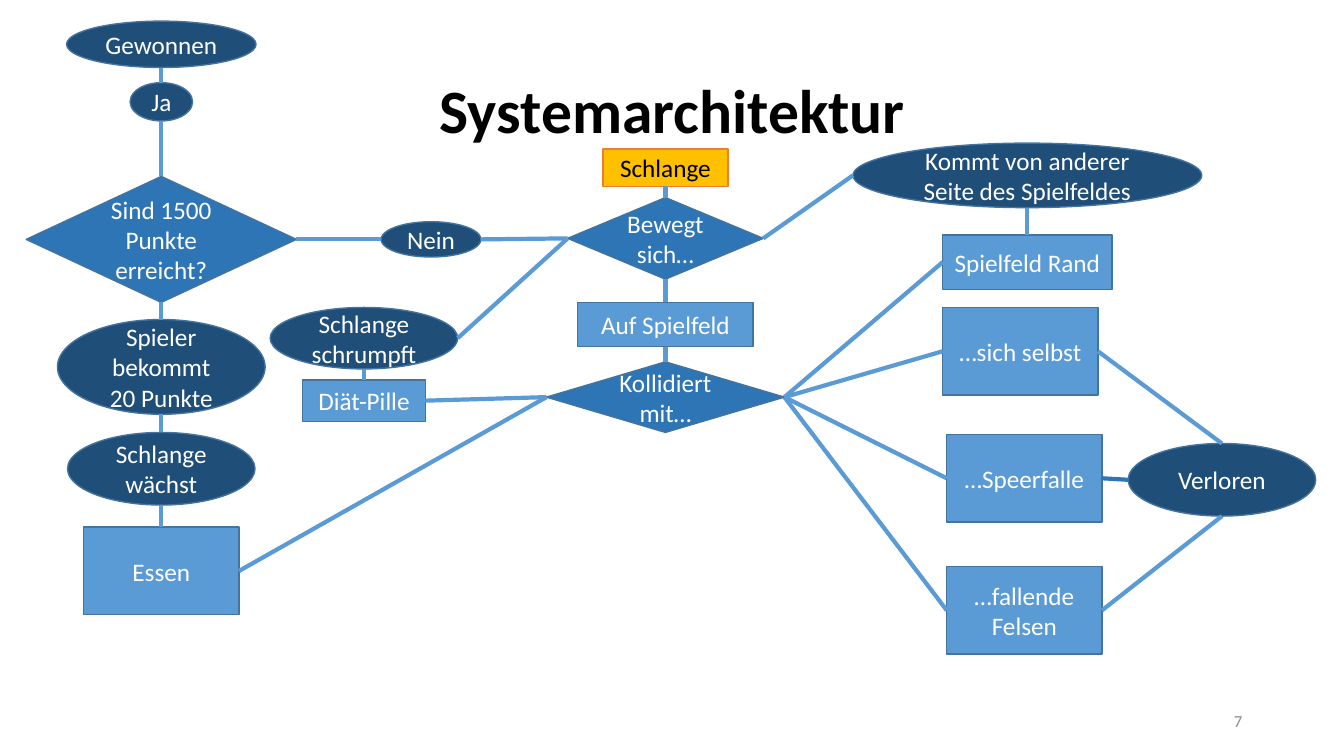
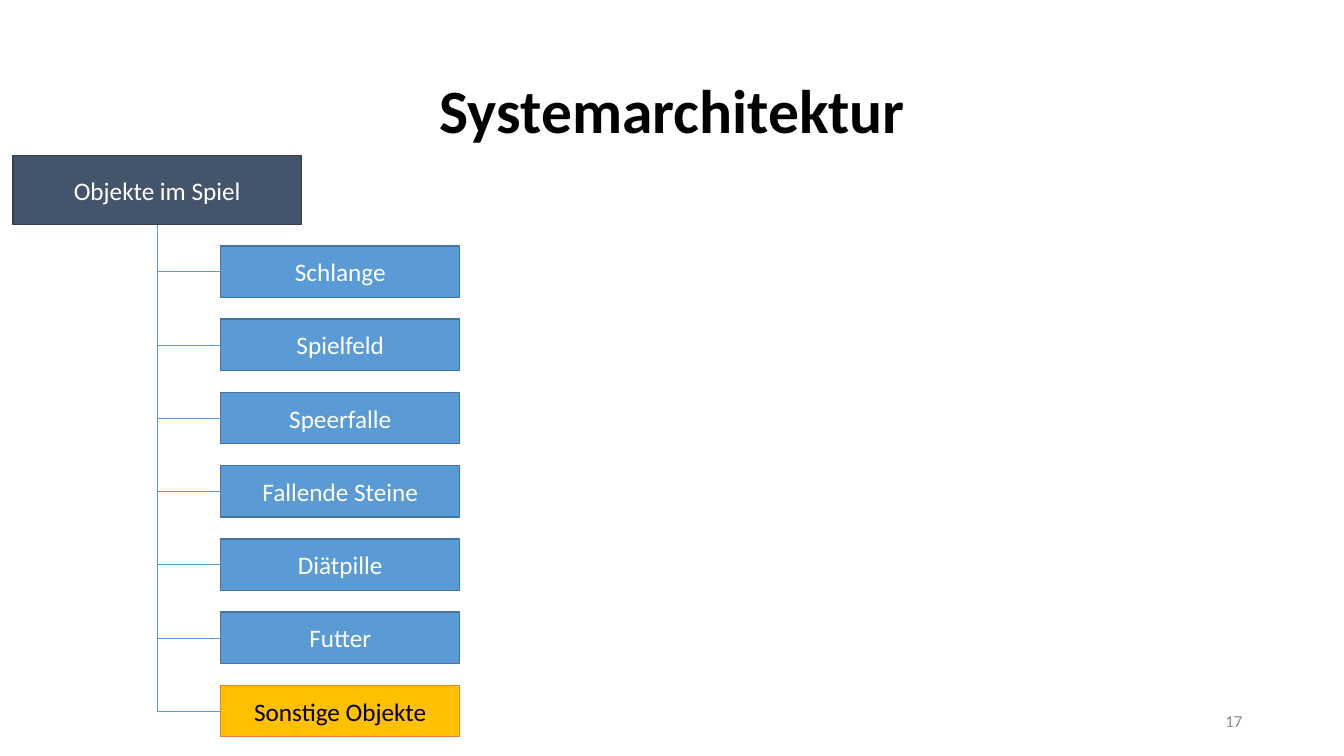
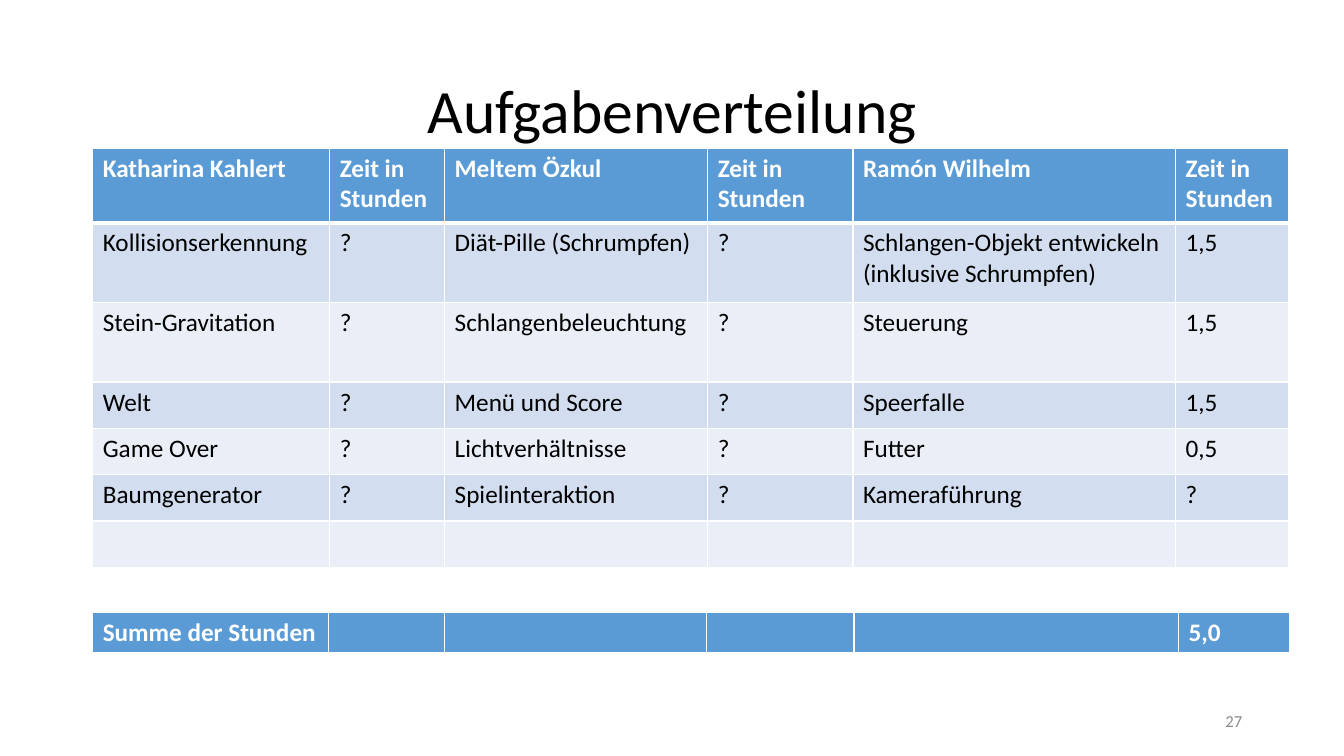
from dataclasses import dataclass

from lxml.etree import SubElement
from pptx import Presentation
from pptx.dml.color import RGBColor
from pptx.enum.shapes import MSO_CONNECTOR, MSO_SHAPE
from pptx.enum.text import MSO_ANCHOR, MSO_AUTO_SIZE, PP_ALIGN
from pptx.oxml import parse_xml
from pptx.oxml.ns import nsdecls, qn
from pptx.util import Pt

SCALE = 9144  # EMU in one px, 100 px to the inch
TOP, LEFT, BOTTOM, RIGHT = range(4)
SIDES = {TOP: (1, 0), LEFT: (0, 1), BOTTOM: (1, 2), RIGHT: (2, 1)}  # in half sizes


@dataclass(frozen=True)
class Theme:
    font: str = "Calibri"
    head: int = 44
    body: int = 18
    note: int = 12
    ink: str = "000000"
    white: str = "FFFFFF"
    grey: str = "8C8C8C"
    blue: str = "5B9BD5"
    mid: str = "2E75B6"
    navy: str = "1F4E79"
    edge: str = "43739E"
    gold: str = "FFC000"
    rust: str = "ED7D31"
    slate: str = "44546A"
    dark: str = "333F50"
    bands: tuple = ("D2DEEF", "EAEFF7")


T = Theme()
LOOKS = {  # preset, fill, line, text
    "step": (MSO_SHAPE.RECTANGLE, T.blue, T.edge, T.white),
    "event": (MSO_SHAPE.OVAL, T.navy, T.edge, T.white),
    "choice": (MSO_SHAPE.DIAMOND, T.mid, T.edge, T.white),
    "accent": (MSO_SHAPE.RECTANGLE, T.gold, T.rust, T.ink),
    "root": (MSO_SHAPE.RECTANGLE, T.slate, T.dark, T.white),
}


def px(*vals):
    return [round(v * SCALE) for v in vals]


def rgb(code):
    return RGBColor.from_string(code)


def put(obj, **vals):
    for name, val in vals.items():
        setattr(obj, name, val)


def paint(fill, code):
    fill.solid()
    fill.fore_color.rgb = rgb(code)


class Deck:
    def __init__(self):
        self.prs = Presentation()
        wide, high = px(1333, 750)
        put(self.prs, slide_width=wide, slide_height=high)

    def label(self, frame, text, size=T.body, ink=T.ink, bold=False,
              align=PP_ALIGN.CENTER, space=None):
        put(frame, text=text, word_wrap=True, auto_size=MSO_AUTO_SIZE.NONE,
            vertical_anchor=MSO_ANCHOR.MIDDLE)
        self.style(frame, size, ink, bold, align, space)

    def style(self, frame, size, ink, bold, align, space=None):
        for para in frame.paragraphs:
            put(para, alignment=align, line_spacing=space)
            for run in para.runs:
                put(run.font, name=T.font, size=Pt(size), bold=bold)
                run.font.color.rgb = rgb(ink)

    def page(self, title, number, bold=True):
        """Start a slide with its title and page number."""
        self.slide = self.prs.slides.add_slide(self.prs.slide_layouts[5])
        head = self.slide.shapes.title
        left, top, wide, high = px(92, 40, 1150, 145)
        put(head, left=left, top=top, width=wide, height=high)
        self.label(head.text_frame, title, T.head, bold=bold, space=0.9)
        foot = self.slide.shapes.add_textbox(*px(942, 695, 300, 40))
        self.label(foot.text_frame, str(number), T.note, T.grey, align=PP_ALIGN.RIGHT)

    def node(self, look, text, *box):
        kind, fill, edge, ink = LOOKS[look]
        shape = self.slide.shapes.add_shape(kind, *px(*box))
        shape.shadow.inherit = False
        paint(shape.fill, fill)
        shape.line.color.rgb = rgb(edge)
        shape.line.width = Pt(1)
        self.label(shape.text_frame, text, ink=ink)
        return shape

    def link(self, start, end, width=3, ink=T.blue):
        """Draw a line between two ends, each a (shape, side) or an (x, y) in px."""
        spots = []
        for a, b in (start, end):
            if isinstance(a, (int, float)):
                spots += px(a, b)
            else:
                dx, dy = SIDES[b]
                spots += [a.left + a.width * dx // 2, a.top + a.height * dy // 2]
        line = self.slide.shapes.add_connector(MSO_CONNECTOR.STRAIGHT, *spots)
        for join, (a, b) in ((line.begin_connect, start), (line.end_connect, end)):
            # An oval numbers its joints otherwise, save for the top one.
            if not isinstance(a, (int, float)) and (
                    b == TOP or a.auto_shape_type != MSO_SHAPE.OVAL):
                join(a, b)
        line.line.color.rgb = rgb(ink)
        line.line.width = Pt(width)
        SubElement(line._element.spPr, qn("a:effectLst"))

    def table(self, left, top, cols, highs, rows):
        """Draw a table whose first row is the header."""
        frame = self.slide.shapes.add_table(
            len(rows), len(cols), *px(left, top, sum(cols), sum(highs)))
        grid = frame.table
        put(grid, horz_banding=False)
        for col, wide in zip(grid.columns, px(*cols)):
            col.width = wide
        for r, (row, high) in enumerate(zip(rows, px(*highs))):
            grid.rows[r].height = high
            first = r == 0
            for c, text in enumerate(row):
                cell = grid.cell(r, c)
                cell.text = text
                paint(cell.fill, T.blue if first else T.bands[(r - 1) % 2])
                self.style(cell.text_frame, T.body, T.white if first else T.ink,
                           first, PP_ALIGN.LEFT)
                self.rule(cell, 3 if first else 1)

    def rule(self, cell, base):
        """Give a cell white borders, the bottom one as thick as base."""
        props = cell._tc.get_or_add_tcPr()
        for i, (side, wide) in enumerate((("L", 1), ("R", 1), ("T", 1), ("B", base))):
            props.insert(i, parse_xml(
                f'<a:ln{side} {nsdecls("a")} w="{Pt(wide)}"><a:solidFill>'
                f'<a:srgbClr val="{T.white}"/></a:solidFill></a:ln{side}>'))


def flow(deck):
    deck.page("Systemarchitektur", 7)
    node, link = deck.node, deck.link
    snake = node("accent", "Schlange", 598, 148, 124, 37)
    food = node("step", "Essen", 83, 523, 154, 87)
    rocks = node("step", "…fallende Felsen", 939, 562, 154, 87)
    pill = node("step", "Diät-Pille", 300, 377, 122, 41)
    field = node("step", "Auf Spielfeld", 573, 300, 174, 44)
    grow = node("event", "Schlange wächst", 67, 429, 186, 72)
    shrink = node("event", "Schlange schrumpft", 268, 305, 186, 61)
    lost = node("event", "Verloren", 1119, 440, 186, 72)
    won = node("event", "Gewonnen", 66, 21, 188, 46)
    wrap = node("event", "Kommt von anderer Seite des Spielfeldes", 846, 142, 346, 64)
    move = node("choice", "Bewegt sich…", 563, 196, 194, 81)
    hit = node("choice", "Kollidiert mit…", 542, 359, 236, 70)
    self_hit = node("step", "…sich selbst", 935, 305, 154, 87)
    rim = node("step", "Spielfeld Rand", 935, 233, 168, 54)
    goal = node("choice", "Sind 1500 Punkte erreicht?", 26, 175, 268, 125)
    score = node("event", "Spieler bekommt 20 Punkte", 57, 317, 206, 94)
    no = node("event", "Nein", 378, 220, 99, 35)
    yes = node("event", "Ja", 129, 82, 62, 38)
    spear = node("step", "…Speerfalle", 939, 431, 154, 87)

    for chain in ((won, yes, goal, score, grow, food), (snake, move, field, hit),
                  (shrink, pill), (wrap, rim)):
        for upper, lower in zip(chain, chain[1:]):
            link((upper, BOTTOM), (lower, TOP))
    for left, right in ((goal, no), (no, move), (shrink, move), (pill, hit),
                        (food, hit), (hit, self_hit), (hit, spear), (hit, rocks),
                        (hit, rim), (move, wrap)):
        link((left, RIGHT), (right, LEFT))
    link((self_hit, RIGHT), (lost, TOP))
    link((spear, RIGHT), (lost, LEFT), ink=T.mid)
    link((rocks, RIGHT), (lost, BOTTOM))


def tree(deck):
    deck.page("Systemarchitektur", 17)
    root = deck.node("root", "Objekte im Spiel", 13, 154, 286, 69)
    names = ("Schlange", "Spielfeld", "Speerfalle", "Fallende Steine", "Diätpille",
             "Futter", "Sonstige Objekte")
    trunk, first, last, high = 156, 244, 680, 51
    step = (last - first) / (len(names) - 1)
    deck.link((root, BOTTOM), (trunk, last + high / 2), 0.5)
    for i, name in enumerate(names):
        top = first + i * step
        look = "accent" if name == names[-1] else "step"
        leaf = deck.node(look, name, 219, top, 237, high)
        deck.link((leaf, LEFT), (trunk, top + high / 2), 0.5)


def tasks(deck):
    deck.page("Aufgabenverteilung", 27, bold=False)
    hours = "Zeit in Stunden"
    deck.table(92, 147, (235, 114, 261, 144, 320, 112), (74, 79, 79, 46, 46, 46, 46), (
        ("Katharina Kahlert", hours, "Meltem Özkul", hours, "Ramón Wilhelm",
         "Zeit in\nStunden"),
        ("Kollisionserkennung", "?", "Diät-Pille (Schrumpfen)", "?",
         "Schlangen-Objekt entwickeln\n(inklusive Schrumpfen)", "1,5"),
        ("Stein-Gravitation", "?", "Schlangenbeleuchtung", "?", "Steuerung", "1,5"),
        ("Welt", "?", "Menü und Score", "?", "Speerfalle", "1,5"),
        ("Game Over", "?", "Lichtverhältnisse", "?", "Futter", "0,5"),
        ("Baumgenerator", "?", "Spielinteraktion", "?", "Kameraführung", "?"),
        ("",) * 6,
    ))
    deck.table(92, 608, (234, 115, 260, 146, 322, 110), (41,),
               (("Summe der Stunden", "", "", "", "", "5,0"),))


def main():
    deck = Deck()
    for build in (flow, tree, tasks):
        build(deck)
    deck.prs.save("out.pptx")


if __name__ == "__main__":
    main()
